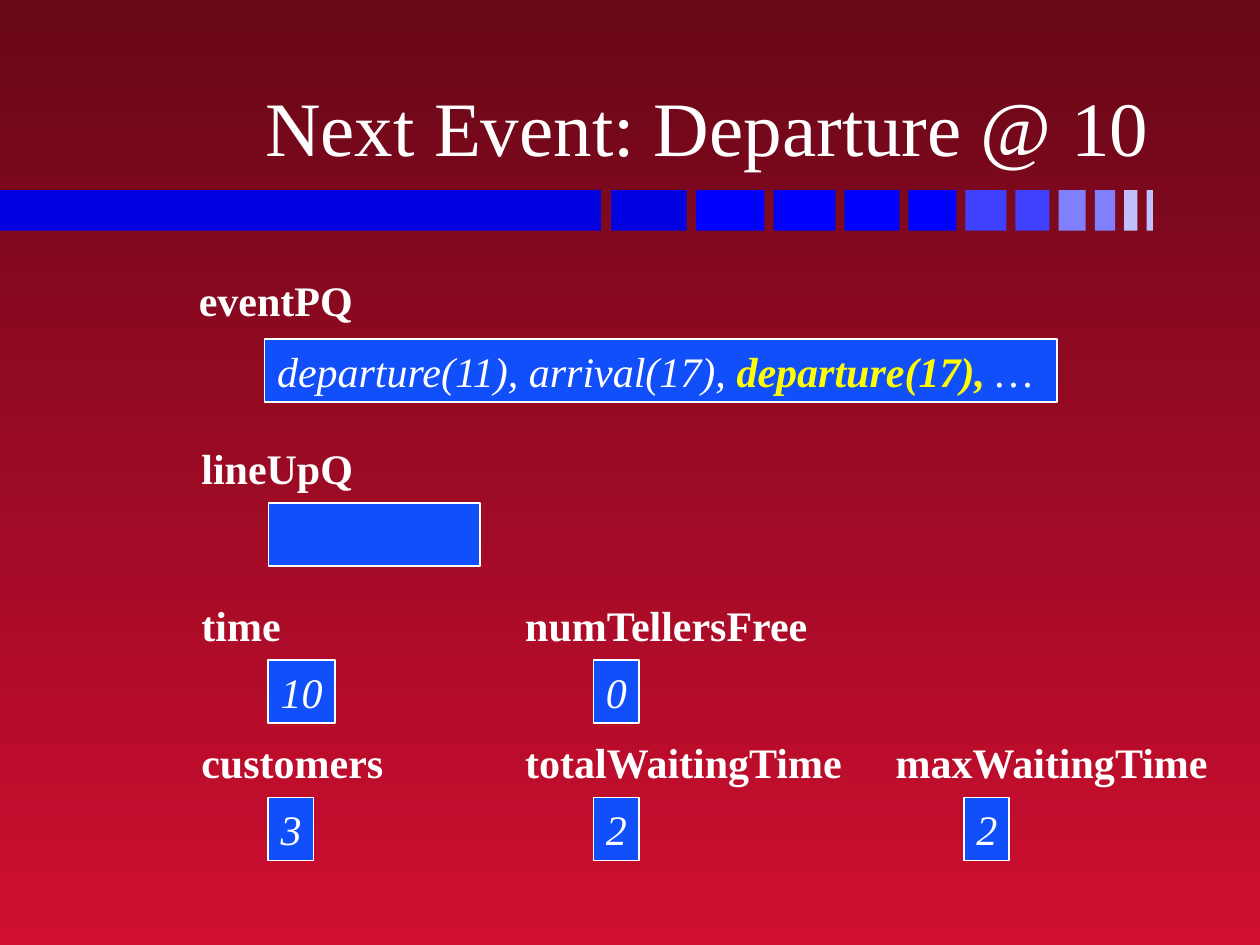
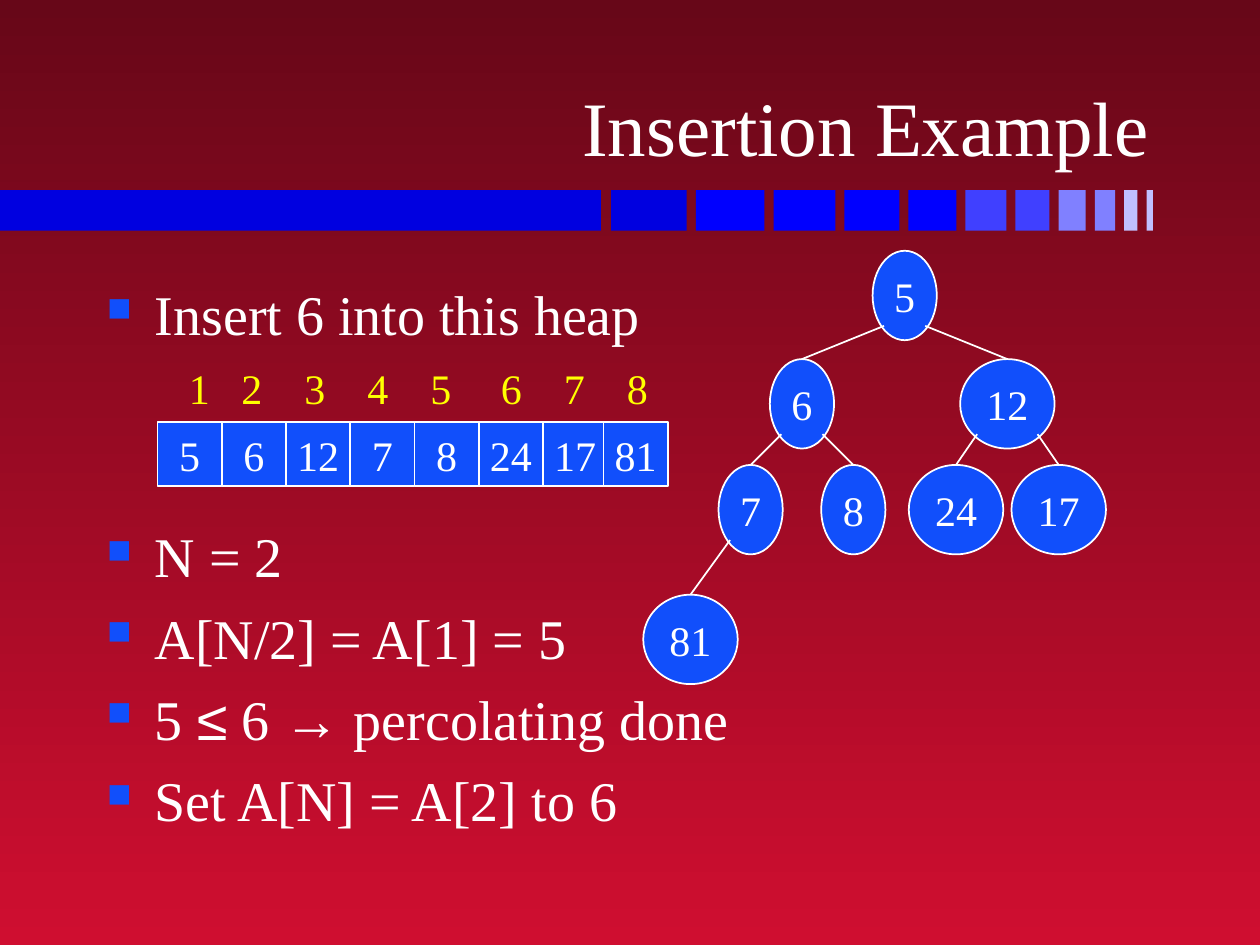
"""Build two slides on event simulation and heap insertion."""

from dataclasses import dataclass
from typing import Optional

from lxml import etree
from pptx import Presentation
from pptx.dml.color import RGBColor
from pptx.enum.shapes import MSO_CONNECTOR, MSO_SHAPE
from pptx.enum.text import MSO_ANCHOR, PP_ALIGN
from pptx.oxml.ns import qn
from pptx.util import Inches, Pt

RECTANGLE, OVAL = MSO_SHAPE.RECTANGLE, MSO_SHAPE.OVAL
STRAIGHT = MSO_CONNECTOR.STRAIGHT
LEFT, CENTER, RIGHT = PP_ALIGN.LEFT, PP_ALIGN.CENTER, PP_ALIGN.RIGHT
TOP, MIDDLE, BOTTOM = MSO_ANCHOR.TOP, MSO_ANCHOR.MIDDLE, MSO_ANCHOR.BOTTOM

SERIF, SANS = "Times New Roman", "Arial"
WHITE, YELLOW, BLUE = "FFFFFF", "FFFF00", "114FFB"
BACKDROP = ("670718", "CF0E30")
BAND_COLORS = ("0000E0", "0000FF", "0000FF", "0000FF", "0000FF", "4040FF",
               "4040FF", "8080FF", "8080FF", "C0C0FF", "C0C0FF")
BAND_TOP, BAND_HEIGHT = 1.51, 0.32
BLOCKS_LEFT, BLOCKS_RIGHT = 4.85, 9.15

HEAP = (5, 6, 12, 7, 8, 24, 17, 81)
LEVEL_TOPS = (1.99, 2.85, 3.69, 4.72)
TREE_LEFT, TREE_WIDTH = 5.55, 3.26
NODE_HEIGHT, CELL = 0.71, 0.51
INDEX_STOPS = (0.5, 1, 1.5, 2, 2.56, 3.06, 3.56)


@dataclass(frozen=True)
class Span:
    """A stretch of text in one style."""
    text: str
    color: str = WHITE
    font: str = SERIF
    bold: bool = False
    italic: bool = False
    size: float = 24


@dataclass(frozen=True)
class Area:
    """A place on the slide in inches."""
    left: float
    top: float
    width: float
    height: float = 0.5

    def lengths(self) -> tuple:
        """Return left, top, width and height as lengths."""
        return tuple(map(Inches, (self.left, self.top, self.width, self.height)))


@dataclass(frozen=True)
class Variable:
    """A named simulation variable with its value box."""
    name: str
    label: Area
    box_width: float
    value: tuple = ()
    box_left: float = 0.63
    box_top: float = 0.53


@dataclass(frozen=True)
class Step:
    """A bulleted step and the space above it in points."""
    spans: tuple
    space: float = 8


def rgb(color: str) -> RGBColor:
    """Turn a hex string into a colour."""
    return RGBColor.from_string(color)


def write(paragraph, spans: tuple, align=LEFT) -> None:
    """Fill a paragraph with styled spans."""
    paragraph.alignment = align
    for span in spans:
        run = paragraph.add_run()
        run.text = span.text
        font = run.font
        font.name, font.size = span.font, Pt(span.size)
        font.bold, font.italic = span.bold, span.italic
        font.color.rgb = rgb(span.color)


def add_text(slide, area: Area, spans: tuple, align=LEFT, anchor=TOP):
    """Add a wrapping text box and return its text frame."""
    frame = slide.shapes.add_textbox(*area.lengths()).text_frame
    frame.word_wrap, frame.vertical_anchor = True, anchor
    write(frame.paragraphs[0], spans, align)
    return frame


def add_block(slide, area: Area, fill: str, spans: tuple = (), kind=RECTANGLE,
              align=LEFT, outline: Optional[str] = WHITE):
    """Add a filled shape with optional text and outline."""
    block = slide.shapes.add_shape(kind, *area.lengths())
    block.shadow.inherit = False
    block.fill.solid()
    block.fill.fore_color.rgb = rgb(fill)
    if outline:
        block.line.color.rgb = rgb(outline)
        block.line.width = Pt(1)
    else:
        block.line.fill.background()
    block.text_frame.word_wrap = False
    block.text_frame.vertical_anchor = MIDDLE
    write(block.text_frame.paragraphs[0], spans, align)
    return block


def add_band(slide) -> None:
    """Draw the long bar and the shrinking blocks under the title."""
    add_block(slide, Area(0, BAND_TOP, 4.77, BAND_HEIGHT), BAND_COLORS[0],
              outline=None)
    last = len(BAND_COLORS) - 1
    widths = [0.05 + 0.55 * (last - i) / last for i in range(last + 1)]
    gap = (BLOCKS_RIGHT - BLOCKS_LEFT - sum(widths)) / last
    left = BLOCKS_LEFT
    for width, color in zip(widths, BAND_COLORS):
        add_block(slide, Area(left, BAND_TOP, width, BAND_HEIGHT), color,
                  outline=None)
        left += width + gap


def add_slide(deck, title: str):
    """Add a slide with the shared background, band and title."""
    slide = deck.slides.add_slide(deck.slide_layouts[6])
    fill = slide.background.fill
    fill.gradient()
    fill.gradient_angle = 270
    for stop, color in zip(fill.gradient_stops, BACKDROP):
        stop.color.rgb = rgb(color)
    add_band(slide)
    add_text(slide, Area(0.74, 0.18, 8.48, 1.23), (Span(title, size=44),),
             RIGHT, BOTTOM)
    return slide


def add_variable(slide, variable: Variable) -> None:
    """Draw a variable's label and value box."""
    label = variable.label
    add_text(slide, label, (Span(variable.name, bold=True),))
    box = Area(label.left + variable.box_left, label.top + variable.box_top,
               variable.box_width)
    add_block(slide, box, BLUE, variable.value)


def number(value: int) -> tuple:
    """Return the italic text of a counter."""
    return (Span(str(value), italic=True),)


def build_departure(deck) -> None:
    """Build the slide on the next departure."""
    slide = add_slide(deck, "Next Event: Departure @ 10")
    events = (Span("departure(11), arrival(17), ", italic=True),
              Span("departure(17), ", YELLOW, bold=True, italic=True),
              Span("…", italic=True))
    variables = (
        Variable("eventPQ", Area(1.48, 2.13, 1.55), 6.29, events, 0.62, 0.56),
        Variable("lineUpQ", Area(1.5, 3.46, 1.55), 1.68),
        Variable("time", Area(1.5, 4.71, 0.95), 0.53, number(10)),
        Variable("numTellersFree", Area(4.07, 4.71, 2.6), 0.36, number(0), 0.64),
        Variable("customers", Area(1.5, 5.8, 1.8), 0.36, number(3)),
        Variable("totalWaitingTime", Area(4.07, 5.8, 2.85), 0.36, number(2), 0.64),
        Variable("maxWaitingTime", Area(7.01, 5.8, 2.85), 0.36, number(2), 0.64),
    )
    for variable in variables:
        add_variable(slide, variable)


def add_bullet(paragraph) -> None:
    """Give a paragraph a hanging square bullet."""
    props = paragraph._p.get_or_add_pPr()
    props.set("marL", str(Inches(0.38)))
    props.set("indent", str(-Inches(0.38)))
    color = etree.SubElement(props, qn("a:buClr"))
    etree.SubElement(color, qn("a:srgbClr"), val=BLUE)
    etree.SubElement(props, qn("a:buSzPct"), val="60000")
    etree.SubElement(props, qn("a:buChar"), char="■")


def add_steps(slide) -> None:
    """Write the insertion steps, leaving room for the array."""
    def text(words: str, font: str = SERIF) -> Span:
        """Return a step's span."""
        return Span(words, font=font, size=32)

    steps = (
        Step((text("Insert 6 into this heap"),), 0),
        Step((text("N = 2"),), 100),
        Step((text("A[N/2] = A[1] = 5"),)),
        Step((text("5 "), text("≤", SANS), text(" 6 "), text("→", SANS),
              text(" percolating done"))),
        Step((text("Set A[N] = A[2] to 6"),)),
    )
    frame = add_text(slide, Area(0.75, 2.17, 8.5, 4.5), ())
    for i, step in enumerate(steps):
        paragraph = frame.add_paragraph() if i else frame.paragraphs[0]
        write(paragraph, step.spans)
        paragraph.space_before = Pt(step.space)
        add_bullet(paragraph)


def add_array(slide) -> None:
    """Draw the heap as an array with its indices above."""
    for i, key in enumerate(HEAP):
        left = min(1.25 + i * CELL, 4.79)
        add_block(slide, Area(left, 3.35, CELL, CELL), BLUE,
                  (Span(str(key)),), align=CENTER)
    indices = "\t".join(str(i + 1) for i in range(len(HEAP)))
    frame = add_text(slide, Area(1.4, 2.83, 3.95), (Span(indices, YELLOW),))
    stops = etree.SubElement(frame.paragraphs[0]._p.get_or_add_pPr(),
                             qn("a:tabLst"))
    for stop in INDEX_STOPS:
        etree.SubElement(stops, qn("a:tab"), pos=str(Inches(stop)), algn="ctr")


def node_area(position: int) -> Area:
    """Place the node at a one-based heap position."""
    level = position.bit_length() - 1
    span = TREE_WIDTH / 2 ** level
    center = TREE_LEFT + span * (position - 2 ** level + 0.5)
    if level == len(LEVEL_TOPS) - 1:
        center = TREE_LEFT - 0.07
    width = 0.51 if HEAP[position - 1] < 10 else 0.75
    return Area(center - width / 2, LEVEL_TOPS[level], width, NODE_HEIGHT)


def add_tree(slide) -> None:
    """Draw the heap as a tree and join each child to its parent."""
    nodes = [add_block(slide, node_area(i), BLUE, (Span(str(key)),), OVAL, CENTER)
             for i, key in enumerate(HEAP, 1)]
    for position in range(2, len(HEAP) + 1):
        parent, child = node_area(position // 2), node_area(position)
        side = 0.82 if position % 2 else 0.18
        edge = slide.shapes.add_connector(
            STRAIGHT, Inches(parent.left + side * parent.width),
            Inches(parent.top + 0.84 * parent.height),
            Inches(child.left + child.width / 2), Inches(child.top))
        edge.end_connect(nodes[position - 1], 0)
        edge.line.color.rgb = rgb(WHITE)
        edge.line.width = Pt(1)
        etree.SubElement(edge._element.spPr, qn("a:effectLst"))


def build_insertion(deck) -> None:
    """Build the slide on heap insertion."""
    slide = add_slide(deck, "Insertion Example")
    add_steps(slide)
    add_array(slide)
    add_tree(slide)


def main() -> None:
    """Build and save the deck."""
    deck = Presentation()
    deck.slide_width, deck.slide_height = Inches(10), Inches(7.5)
    build_departure(deck)
    build_insertion(deck)
    deck.save("out.pptx")


if __name__ == "__main__":
    main()
